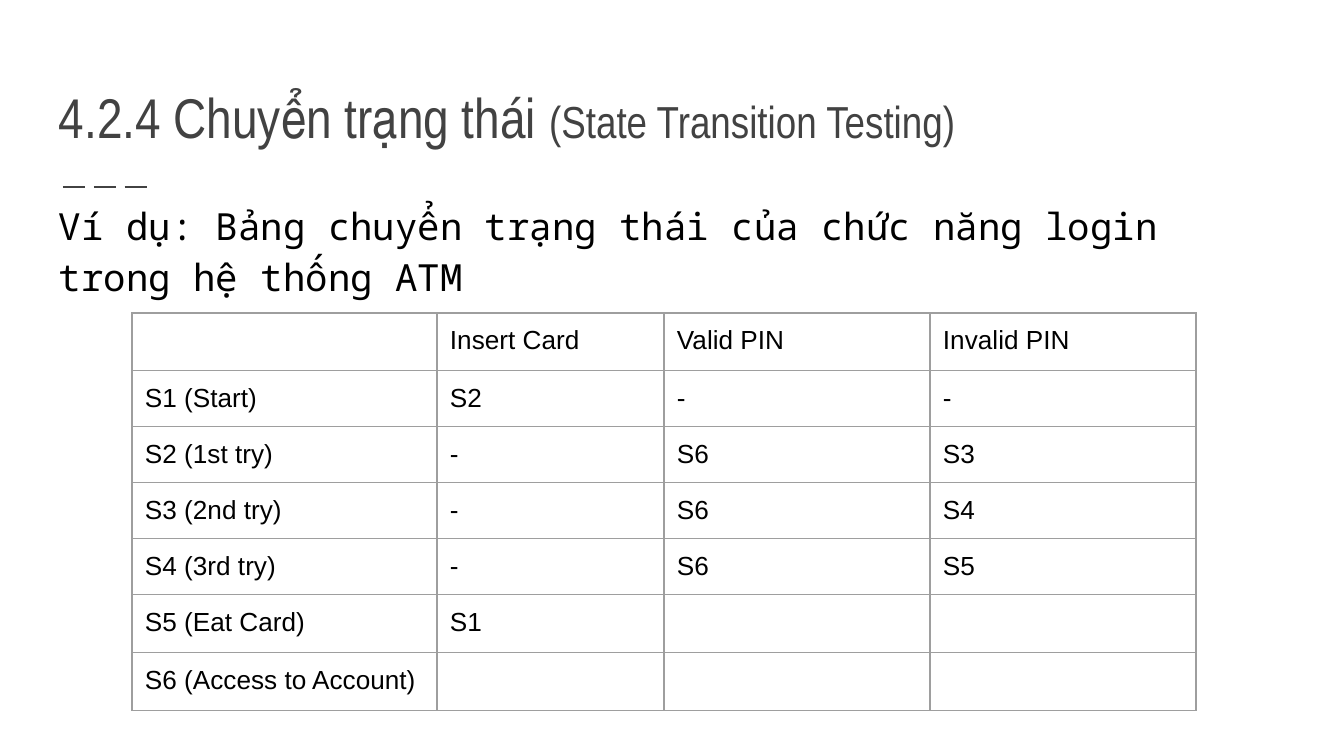
"""Build the state transition testing slide with its login table."""
from lxml import etree
from pptx import Presentation, util as u
from pptx.dml.color import RGBColor
from pptx.enum import dml, shapes, text
from pptx.oxml import parse_xml
from pptx.oxml.ns import nsdecls, qn

PX = 914400 / 134.4
COLORS = {"title": "424242", "text": "000000", "border": "9E9E9E"}
INSET = 13


def px(n):
    return u.Emu(round(n * PX))


def add_run(p, value, size, font, color):
    r = p.add_run()
    r.text = value
    r.font.size = u.Pt(size)
    r.font.name = font
    r.font.bold = False
    r.font.color.rgb = RGBColor.from_string(COLORS[color])


prs = Presentation()
prs.slide_width, prs.slide_height = px(1344), px(756)
s = prs.slides.add_slide(prs.slide_layouts[1])
title, body = s.placeholders

for sp, box, anchor in [
    (title, (46, 55, 1253, 108), text.MSO_ANCHOR.BOTTOM),
    (body, (46, 183, 1236, 547), text.MSO_ANCHOR.TOP),
]:
    sp.left, sp.top, sp.width, sp.height = map(px, box)
    tf = sp.text_frame
    tf.word_wrap = True
    tf.auto_size = text.MSO_AUTO_SIZE.NONE
    tf.vertical_anchor = anchor
    tf.margin_left = tf.margin_right = tf.margin_top = tf.margin_bottom = px(INSET)
    tf.paragraphs[0].alignment = text.PP_ALIGN.LEFT
    tf.paragraphs[0].space_before = u.Pt(0)

p = title.text_frame.paragraphs[0]
add_run(p, "4.2.4 Chuyển trạng thái ", 30, "Arial Narrow", "title")
add_run(p, "(State Transition Testing)", 24, "Arial Narrow", "title")

p = body.text_frame.paragraphs[0]
p.line_spacing = 1.15
pPr = p._p.get_or_add_pPr()
pPr.set("marL", "0")
pPr.set("indent", "0")
etree.SubElement(pPr, qn("a:buNone"))
add_run(p, "Ví dụ: Bảng chuyển trạng thái của chức năng login trong hệ thống ATM",
        20, "Noto Sans Mono", "text")

line = s.shapes.add_connector(shapes.MSO_CONNECTOR.STRAIGHT, px(63), px(187), px(153), px(187))
line.line.color.rgb = RGBColor.from_string(COLORS["title"])
line.line.width = u.Pt(1.5)
line.line.dash_style = dml.MSO_LINE.LONG_DASH
etree.SubElement(line._element.spPr, qn("a:effectLst"))

rows = [
    ["", "Insert Card", "Valid PIN", "Invalid PIN"],
    ["S1 (Start)", "S2", "-", "-"],
    ["S2 (1st try)", "-", "S6", "S3"],
    ["S3 (2nd try)", "-", "S6", "S4"],
    ["S4 (3rd try)", "-", "S6", "S5"],
    ["S5 (Eat Card)", "S1", "", ""],
    ["S6 (Access to Account)", "", "", ""],
]
widths = [305, 227, 266, 266]
row_height = 56
table = s.shapes.add_table(len(rows), len(widths), px(132), px(313),
                           px(sum(widths)), px(row_height * len(rows))).table
table.first_row = table.horz_banding = False
for col, width in zip(table.columns, widths):
    col.width = px(width)
for row, values in zip(table.rows, rows):
    row.height = px(row_height)
    for cell, value in zip(row.cells, values):
        cell.margin_left = cell.margin_right = px(INSET)
        cell.margin_top = cell.margin_bottom = px(INSET)
        p = cell.text_frame.paragraphs[0]
        if value:
            add_run(p, value, 14, "Arial", "text")
        else:
            etree.SubElement(p._p, qn("a:endParaRPr")).set("sz", "1400")
        tcPr = cell._tc.get_or_add_tcPr()
        for side in ("lnL", "lnR", "lnT", "lnB"):
            tcPr.append(parse_xml(
                f'<a:{side} {nsdecls("a")} w="{u.Pt(0.75)}"><a:solidFill>'
                f'<a:srgbClr val="{COLORS["border"]}"/></a:solidFill></a:{side}>'))
        cell.fill.background()

prs.save("out.pptx")
